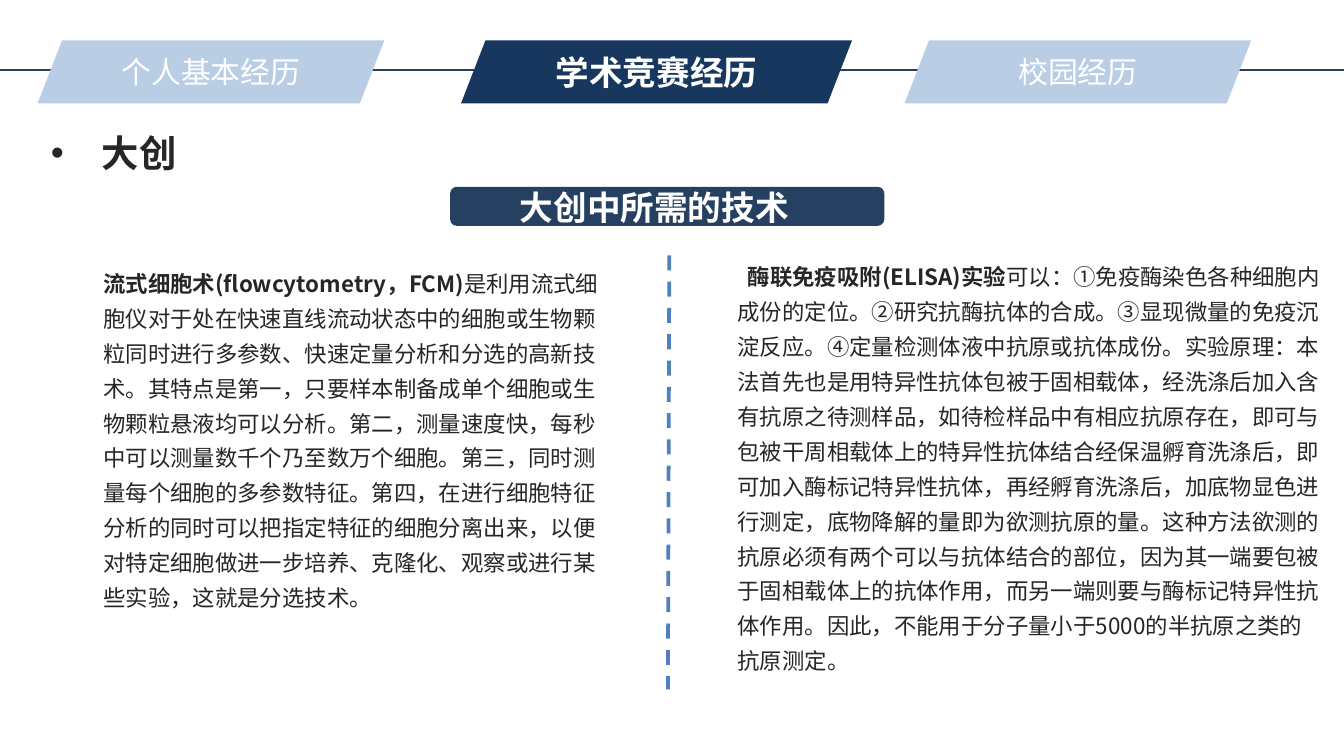
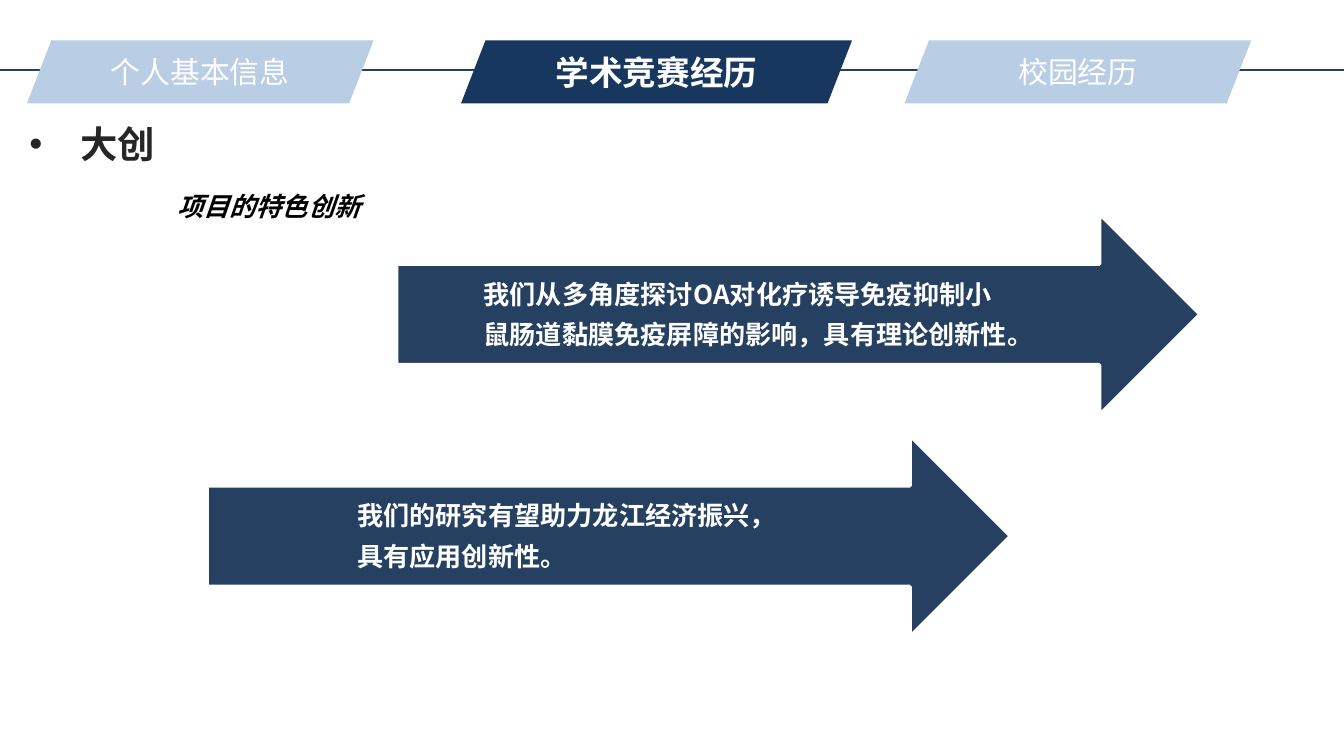
from lxml import etree
from pptx import Presentation
from pptx.dml.color import RGBColor
from pptx.enum.dml import MSO_LINE
from pptx.enum.shapes import MSO_CONNECTOR, MSO_SHAPE
from pptx.enum.text import MSO_ANCHOR, MSO_AUTO_SIZE, PP_ALIGN
from pptx.oxml.ns import qn
from pptx.util import Pt

STRAIGHT = MSO_CONNECTOR.STRAIGHT
DASH = MSO_LINE.DASH
PARALLELOGRAM = MSO_SHAPE.PARALLELOGRAM
ROUNDED = MSO_SHAPE.ROUNDED_RECTANGLE
ARROW = MSO_SHAPE.RIGHT_ARROW
MIDDLE = MSO_ANCHOR.MIDDLE
FIT = MSO_AUTO_SIZE.SHAPE_TO_FIT_TEXT
CENTER = PP_ALIGN.CENTER

FONT = "Noto Sans CJK SC"
COLORS = {
    "navy": "254061",
    "active": "17375E",
    "inactive": "B9CDE5",
    "divider": "4F81BD",
    "text": "262626",
    "black": "000000",
    "white": "FFFFFF",
}
FORMATS = {
    "body": {"size": Pt(12), "bold": False, "color": "text"},
    "term": {"size": Pt(12), "bold": True, "color": "text"},
    "heading": {"size": Pt(20), "bold": True, "color": "text"},
    "banner": {"size": Pt(18), "bold": True, "color": "white"},
    "tab": {"size": Pt(16), "bold": False, "color": "white"},
    "arrow": {"size": Pt(14), "bold": True, "color": "white"},
    "subtitle": {"size": Pt(14), "bold": True, "italic": True, "color": "black"},
}
LINE_SPACING = 1.3
BULLET_INDENT = 27.36
TAB_TOP, TAB_HEIGHT, TAB_SLANT = 21.6, 33.84, 0.388
ARROW_SIZE = (430.56, 108)

FLOW_TERM = "流式细胞术(flowcytometry，FCM)"
FLOW_TEXT = (
    "是利用流式细胞仪对于处在快速直线流动状态中的细胞或生物颗粒同时进行多参数、快速定量分析和分选的高新技术。"
    "其特点是第一，只要样本制备成单个细胞或生物颗粒悬液均可以分析。第二，测量速度快，每秒中可以测量数千个乃至数万个细胞。"
    "第三，同时测量每个细胞的多参数特征。第四，在进行细胞特征分析的同时可以把指定特征的细胞分离出来，"
    "以便对特定细胞做进一步培养、克隆化、观察或进行某些实验，这就是分选技术。"
)
ELISA_TERM = "酶联免疫吸附(ELISA)实验"
ELISA_TEXT = (
    "可以：①免疫酶染色各种细胞内成份的定位。②研究抗酶抗体的合成。③显现微量的免疫沉淀反应。"
    "④定量检测体液中抗原或抗体成份。实验原理：本法首先也是用特异性抗体包被于固相载体，"
    "经洗涤后加入含有抗原之待测样品，如待检样品中有相应抗原存在，即可与包被干周相载体上的特异性抗体结合经保温孵育洗涤后，"
    "即可加入酶标记特异性抗体，再经孵育洗涤后，加底物显色进行测定，底物降解的量即为欲测抗原的量。"
    "这种方法欲测的抗原必须有两个可以与抗体结合的部位，因为其一端要包被于固相载体上的抗体作用，"
    "而另一端则要与酶标记特异性抗体作用。因此，不能用于分子量小于5000的半抗原之类的抗原测定。"
)


def color(name):
    """Return the named palette colour."""
    return RGBColor.from_string(COLORS[name])


def add_runs(paragraph, runs):
    """Append (text, format name) runs to a paragraph."""
    for text, format_name in runs:
        run = paragraph.add_run()
        run.text = text
        run.font.name = FONT
        for attribute, value in FORMATS[format_name].items():
            if attribute == "color":
                run.font.color.rgb = color(value)
            else:
                setattr(run.font, attribute, value)
        properties = run.font._element
        properties.find(qn("a:latin")).addnext(
            etree.Element(qn("a:ea"), typeface=FONT)
        )


def add_text(slide, box, runs, line_spacing=None, first_indent=0):
    """Add a wrapping text box with one paragraph and return the paragraph."""
    frame = slide.shapes.add_textbox(*map(Pt, box)).text_frame
    frame.word_wrap = True
    frame.auto_size = FIT
    paragraph = frame.paragraphs[0]
    if line_spacing:
        paragraph.line_spacing = line_spacing
    if first_indent:
        paragraph._p.get_or_add_pPr().set("indent", str(Pt(first_indent)))
    add_runs(paragraph, runs)
    return paragraph


def add_heading(slide, left, top):
    """Add the bulleted section heading."""
    box = (left, top, 315.36, 31.68)
    paragraph = add_text(slide, box, [("大创", "heading")], first_indent=-BULLET_INDENT)
    properties = paragraph._p.get_or_add_pPr()
    properties.set("marL", str(Pt(BULLET_INDENT)))
    etree.SubElement(properties, qn("a:buFont"), typeface="Arial")
    etree.SubElement(properties, qn("a:buChar"), char="•")


def add_block(slide, kind, box, fill, outline=None):
    """Add a filled preset shape, outlined only when a colour is given."""
    shape = slide.shapes.add_shape(kind, *map(Pt, box))
    shape.shadow.inherit = False
    shape.fill.solid()
    shape.fill.fore_color.rgb = color(fill)
    if outline:
        shape.line.color.rgb = color(outline)
        shape.line.width = Pt(2)
    else:
        shape.line.fill.background()
    return shape


def add_line(slide, ends, line_color, width, dash=None):
    """Add a straight line without a shadow."""
    line = slide.shapes.add_connector(STRAIGHT, *map(Pt, ends))
    line.line.color.rgb = color(line_color)
    line.line.width = Pt(width)
    if dash:
        line.line.dash_style = dash
    etree.SubElement(line._element.spPr, qn("a:effectLst"))


def add_tab(slide, left, width, label, fill, format_name):
    """Add one slanted navigation tab."""
    box = (left, TAB_TOP, width, TAB_HEIGHT)
    tab = add_block(slide, PARALLELOGRAM, box, fill)
    tab.adjustments[0] = TAB_SLANT
    frame = tab.text_frame
    frame.vertical_anchor = MIDDLE
    frame.paragraphs[0].alignment = CENTER
    add_runs(frame.paragraphs[0], [(label, format_name)])


def add_navigation(slide, first_left, first_label):
    """Add the navigation line and its three tabs."""
    add_line(slide, (-18.72, 37.44, 722.88, 37.44), "navy", 1)
    add_tab(slide, 246.96, 209.52, "学术竞赛经历", "active", "banner")
    for left, label in ((484.56, "校园经历"), (first_left, first_label)):
        add_tab(slide, left, 185.76, label, "inactive", "tab")


def add_arrow(slide, left, top, text_box, text):
    """Add a block arrow with its statement."""
    add_block(slide, ARROW, (left, top, *ARROW_SIZE), "navy", "white")
    add_text(slide, text_box, [(text, "arrow")], LINE_SPACING)


def build_techniques(slide):
    """Build the slide on the techniques required."""
    add_navigation(slide, 20.16, "个人基本经历")
    add_heading(slide, 20.16, 66.24)
    add_block(slide, ROUNDED, (241.2, 100.08, 232.56, 20.88), "navy")
    add_text(slide, (271.44, 96.48, 176.4, 28.8), [("大创中所需的技术", "banner")])
    add_line(slide, (358.56, 136.8, 357.84, 369.36), "divider", 2, DASH)
    columns = (
        ((48.24, 136.8, 280.08, 195.84), FLOW_TERM, FLOW_TEXT, 0),
        ((388.08, 133.2, 326.88, 252.72), ELISA_TERM, ELISA_TEXT, 5.4),
    )
    for box, term, text, indent in columns:
        add_text(slide, box, [(term, "term"), (text, "body")], LINE_SPACING, indent)


def build_innovation(slide):
    """Build the slide on the project's innovations."""
    add_navigation(slide, 14.4, "个人基本信息")
    add_heading(slide, 8.64, 61.2)
    add_text(slide, (87.84, 98.64, 283.68, 24.48), [("项目的特色创新", "subtitle")])
    add_arrow(slide, 212.4, 114.48, (252, 140.4, 298.08, 51.12),
              "我们从多角度探讨OA对化疗诱导免疫抑制小鼠肠道黏膜免疫屏障的影响，具有理论创新性。")
    add_arrow(slide, 110.88, 233.28, (184.32, 259.2, 237.6, 51.12),
              "我们的研究有望助力龙江经济振兴，具有应用创新性。")


def main():
    """Build and save the presentation."""
    presentation = Presentation()
    presentation.slide_width = Pt(720)
    presentation.slide_height = Pt(405)
    for build in (build_techniques, build_innovation):
        build(presentation.slides.add_slide(presentation.slide_layouts[6]))
    presentation.save("out.pptx")


if __name__ == "__main__":
    main()
